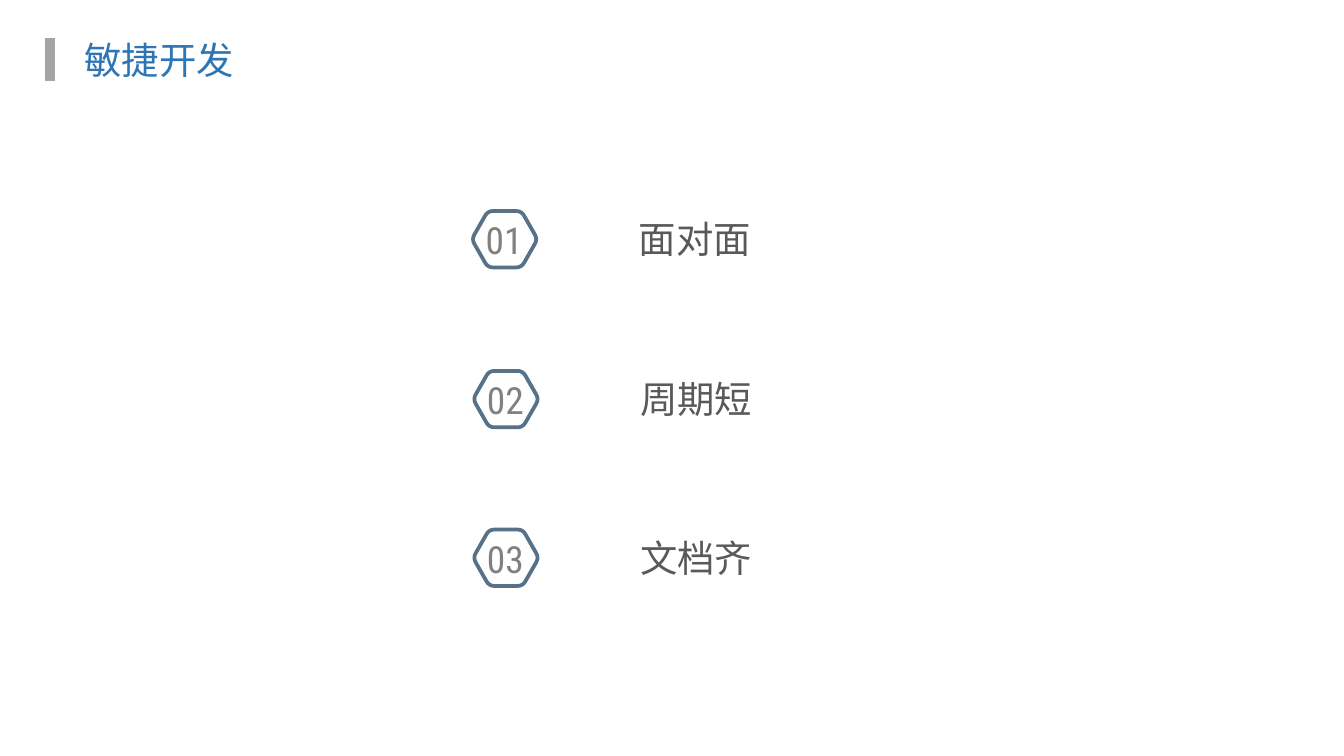
"""Builds the agile development slide with three numbered points."""
from lxml import etree
from pptx import Presentation
from pptx.dml.color import RGBColor
from pptx.enum import shapes, text
from pptx.oxml import ns
from pptx.util import Inches, Pt

COLORS = {"title": "2E75B6", "bar": "A5A5A5", "hexagon": "577188",
          "number": "808080", "label": "595959"}
HEXAGON = [(-0.01, 0.21), (0.11, 0), (0.36, 0), (0.48, 0.21), (0.36, 0.42), (0.11, 0.42)]
CUT = 0.04
ROWS = [("01", "面对面", 3.52, 1.57), ("02", "周期短", 3.53, 2.76), ("03", "文档齐", 3.53, 3.94)]


def add_text(parent, words, x, y, width, font, color, align):
    tb = parent.add_textbox(Inches(x), Inches(y), Inches(width), Inches(0.44))
    tf = tb.text_frame
    tf.word_wrap = True
    tf.auto_size = text.MSO_AUTO_SIZE.SHAPE_TO_FIT_TEXT
    tf.text = words
    p = tf.paragraphs[0]
    p.alignment = align
    r = p.runs[0]
    r.font.size = Pt(20)
    r.font.name = font
    r.font.color.rgb = RGBColor.from_string(COLORS[color])
    if "CJK" in font:
        etree.SubElement(r.font._element, ns.qn("a:ea"), typeface=font)


def toward(start, end):
    dx, dy = end[0] - start[0], end[1] - start[1]
    step = CUT / (dx * dx + dy * dy) ** 0.5
    return start[0] + dx * step, start[1] + dy * step


prs = Presentation()
prs.slide_width = Inches(10)
prs.slide_height = Inches(10 * 9 / 16)
s = prs.slides.add_slide(prs.slide_layouts[6])

add_text(s.shapes, "敏捷开发", 0.53, 0.23, 4.28, "Arial", "title", text.PP_ALIGN.LEFT)
bar = s.shapes.add_connector(shapes.MSO_CONNECTOR.STRAIGHT,
                             Inches(0.37), Inches(0.28), Inches(0.37), Inches(0.6))
bar.line.color.rgb = RGBColor.from_string(COLORS["bar"])
bar.line.width = Pt(5.25)
etree.SubElement(bar._element.spPr, ns.qn("a:effectLst"))

outline = []
for i, corner in enumerate(HEXAGON):
    before = toward(corner, HEXAGON[i - 1])
    after = toward(corner, HEXAGON[(i + 1) % len(HEXAGON)])
    for t in (0, 0.25, 0.5, 0.75, 1):
        outline.append([(1 - t) ** 2 * a + 2 * t * (1 - t) * b + t ** 2 * c
                        for a, b, c in zip(before, corner, after)])

for number, label, x, y in ROWS:
    add_text(s.shapes, label, x + 0.42, y - 0.01, 2.46, "Noto Sans CJK SC", "label",
             text.PP_ALIGN.CENTER)
    badge = s.shapes.add_group_shape()
    points = [(Inches(x + px), Inches(y + py)) for px, py in outline]
    builder = badge.shapes.build_freeform(*points[0])
    builder.add_line_segments(points[1:], close=True)
    hexagon = builder.convert_to_shape()
    hexagon.shadow.inherit = False
    hexagon.fill.background()
    hexagon.line.color.rgb = RGBColor.from_string(COLORS["hexagon"])
    hexagon.line.width = Pt(2)
    add_text(badge.shapes, number, x - 0.08, y, 0.62, "Roboto Condensed", "number",
             text.PP_ALIGN.CENTER)

prs.save("out.pptx")
